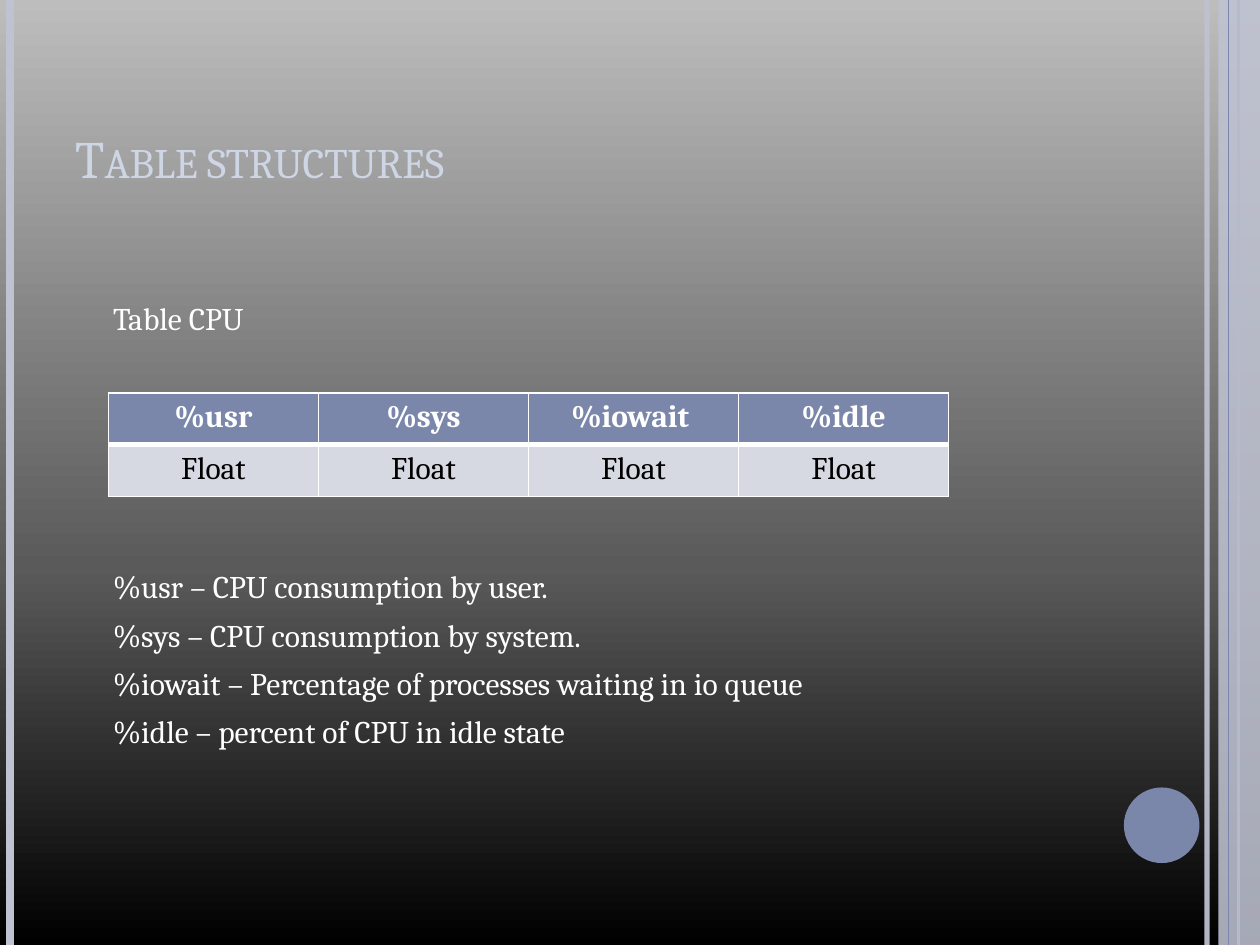
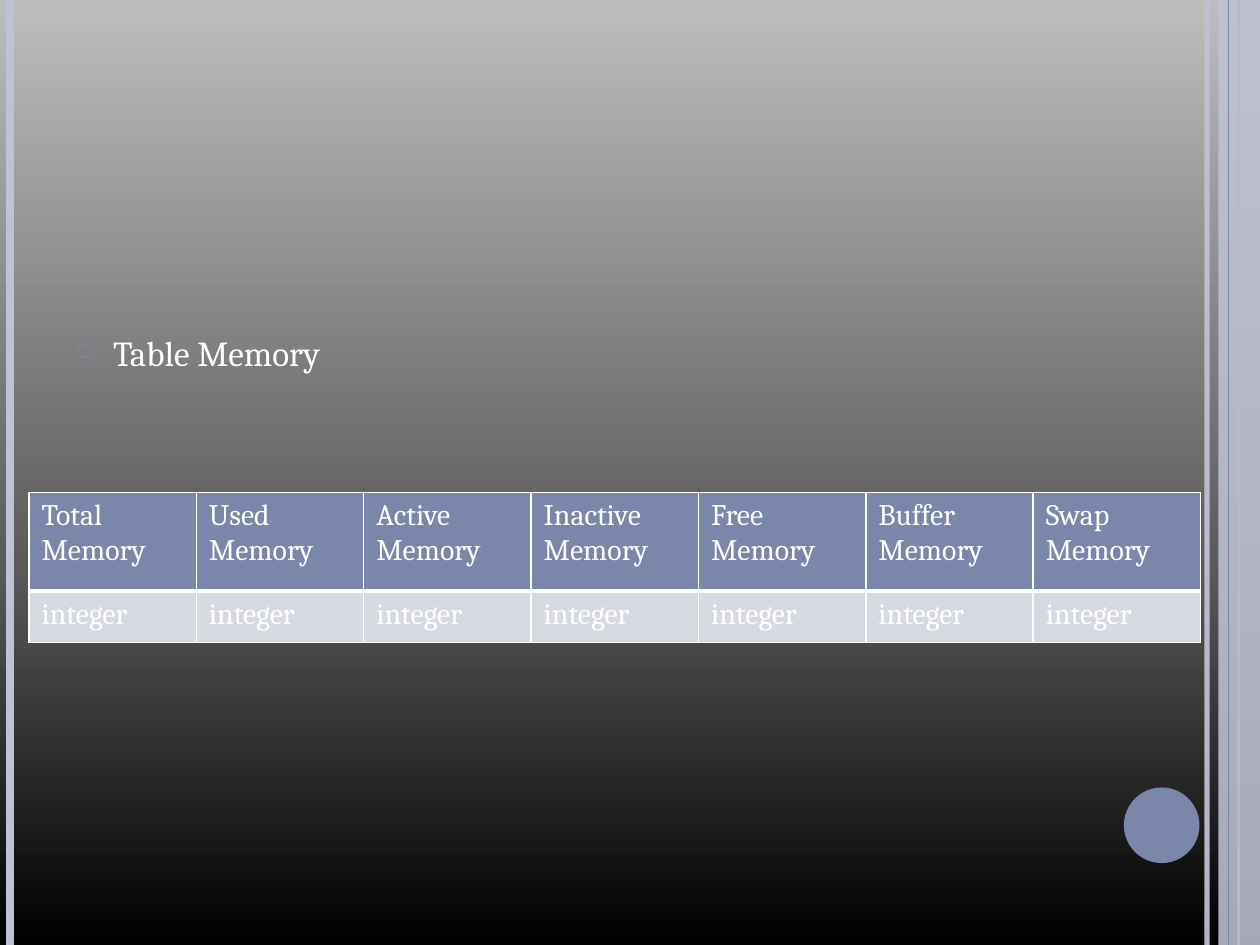
from lxml import etree
from pptx import Presentation
from pptx.dml.color import RGBColor
from pptx.enum import shapes, text
from pptx.oxml import parse_xml
from pptx.oxml.ns import qn
from pptx.util import Inches, Pt

# Content
TITLE = "Table structures"
CPU = {
    "head": ["%usr", "%sys", "%iowait ", "%idle"],
    "kind": "Float",
    "notes": ["%usr – CPU consumption by user.",
              "%sys – CPU consumption by system.",
              "%iowait – Percentage of processes waiting in io queue",
              "%idle – percent of CPU in idle state"],
}
MEMORY = {
    "head": [f"{name}\nMemory" for name in
             ("Total", "Used", "Active", "Inactive", "Free", "Buffer", "Swap")],
    "kind": "integer",
}

# Shared look
FONT = "Cambria"
WHITE = RGBColor(0xFF, 0xFF, 0xFF)
BLACK = RGBColor(0, 0, 0)
SLATE = RGBColor(0x7B, 0x87, 0xAA)
MIST = RGBColor(0xBF, 0xC3, 0xD1)
PALE = RGBColor(0xCE, 0xD5, 0xE5)
CELL = RGBColor(0xD7, 0xD9, 0xE2)
SHADES = [(0, "000000"), (40, "5A5A5A"), (100, "BDBDBD")]
WIDE, HIGH = 10, 7.5
LEFT, SPAN = 0.5, 8.17
# Vertical rules: x, colour, width, opacity
RULES = [(9.58, MIST, 3, 93), (0.08, MIST, 4.5, 100), (9.83, SLATE, 1.5, 100)]
EDGE = (9.75, SLATE, 0.75, 100)
NS = 'xmlns:a="http://schemas.openxmlformats.org/drawingml/2006/main"'

deck = Presentation()
deck.slide_width, deck.slide_height = Inches(WIDE), Inches(HIGH)


def fade(fill, share):
    """Set the opacity of the colour inside a fill or line element."""
    tone = next(fill.iter(qn("a:srgbClr")))
    etree.SubElement(tone, qn("a:alpha"), val=str(share * 1000))


def rule(slide, x, tone, width, share):
    line = slide.shapes.add_connector(
        shapes.MSO_CONNECTOR.STRAIGHT, Inches(x), 0, Inches(x), Inches(HIGH))
    line.line.color.rgb, line.line.width = tone, Pt(width)
    props = line._element.spPr
    if share < 100:
        fade(props, share)
    etree.SubElement(props, qn("a:effectLst"))


def block(slide, kind, tone, *box):
    shape = slide.shapes.add_shape(kind, *map(Inches, box))
    shape.shadow.inherit = False
    shape.fill.solid()
    shape.fill.fore_color.rgb = tone
    shape.line.fill.background()
    return shape


def page():
    slide = deck.slides.add_slide(deck.slide_layouts[6])
    # Gradient backdrop, dark at the foot
    slide.background.fill.solid()
    back = slide.background._cSld.bg.bgPr
    stops = "".join(f'<a:gs pos="{p * 1000}"><a:srgbClr val="{c}"/></a:gs>'
                    for p, c in SHADES)
    back.replace(back[0], parse_xml(
        f'<a:gradFill {NS} rotWithShape="1"><a:gsLst>{stops}</a:gsLst>'
        '<a:lin ang="16200000" scaled="0"/></a:gradFill>'))
    # Side rules, right band and disc
    for item in RULES:
        rule(slide, *item)
    band = block(slide, shapes.MSO_SHAPE.RECTANGLE, MIST, 9.67, 0, 0.33, HIGH)
    fade(band._element.spPr, 87)
    rule(slide, *EDGE)
    block(slide, shapes.MSO_SHAPE.OVAL, SLATE, 8.92, 6.25, 0.6, 0.6)
    return slide


def style(para, size, tone, bold=False):
    font = para.font
    font.name, font.size, font.bold = FONT, Pt(size), bold
    font.color.rgb = tone


def frame(slide, top, high):
    box = slide.shapes.add_textbox(*map(Inches, (LEFT, top, SPAN, high)))
    box.text_frame.word_wrap = True
    return box.text_frame


def title(slide, words):
    area = frame(slide, 0.3, 1.25)
    area.vertical_anchor = text.MSO_ANCHOR.BOTTOM
    para = area.paragraphs[0]
    para.text = words
    style(para, 30, PALE)
    para.font._element.set("cap", "small")


def body(slide, lines, size, drop, gaps=None, bullet=False):
    """Indented lines; drop is the top inset, gaps the space before a line."""
    area = frame(slide, 1.75, 5.33)
    area.margin_top = Inches(drop)
    area.text = "\n".join(lines)
    for i, para in enumerate(area.paragraphs):
        props = para._p.get_or_add_pPr()
        props.set("marL", str(Inches(0.3)))
        props.set("indent", str(Inches(-0.3 if bullet else 0)))
        if bullet:
            tone = etree.SubElement(props, qn("a:buClr"))
            etree.SubElement(tone, qn("a:srgbClr"), val=str(SLATE))
            etree.SubElement(props, qn("a:buSzPct"), val="70000")
            etree.SubElement(props, qn("a:buChar"), char="○")
        para.space_before = Pt((gaps or {}).get(i, 6 if i else 0))
        style(para, size, WHITE)


def border(cell, **sides):
    props = cell._tc.get_or_add_tcPr()
    for side in "LRTB":
        props.append(parse_xml(
            f'<a:ln{side} {NS} w="{Pt(sides.get(side, 1))}"><a:solidFill>'
            f'<a:srgbClr val="{WHITE}"/></a:solidFill></a:ln{side}>'))


def grid(slide, data, box, rows, size, ink, bold=False, align=None):
    count = len(data["head"])
    table = slide.shapes.add_table(2, count, *map(Inches, box)).table
    table.first_row = table.horz_banding = False
    for col in table.columns:
        col.width = Inches(box[2] / count)
    looks = [(data["head"], SLATE, WHITE, bold, {"B": 3}),
             ([data["kind"]] * count, CELL, ink, False, {"T": 3})]
    for r, (words, fill, tone, heavy, sides) in enumerate(looks):
        table.rows[r].height = Inches(rows[r])
        for c, word in enumerate(words):
            cell = table.cell(r, c)
            cell.text = word
            border(cell, **sides)
            cell.fill.solid()
            cell.fill.fore_color.rgb = fill
            for para in cell.text_frame.paragraphs:
                para.alignment = align
                style(para, size, tone, heavy)


# CPU slide
slide = page()
title(slide, TITLE)
body(slide, ["Table CPU"] + CPU["notes"], 18, 0.62, gaps={1: 132})
grid(slide, CPU, (0.86, 3.12, 6.67, 0.81), (0.41, 0.41), 18, BLACK,
     bold=True, align=text.PP_ALIGN.CENTER)

# Memory slide
slide = page()
body(slide, ["Table Memory"], 20, 0.88, bullet=True)
grid(slide, MEMORY, (0.23, 3.91, 9.3, 1.19), (0.78, 0.41), 17, WHITE)

deck.save("out.pptx")
